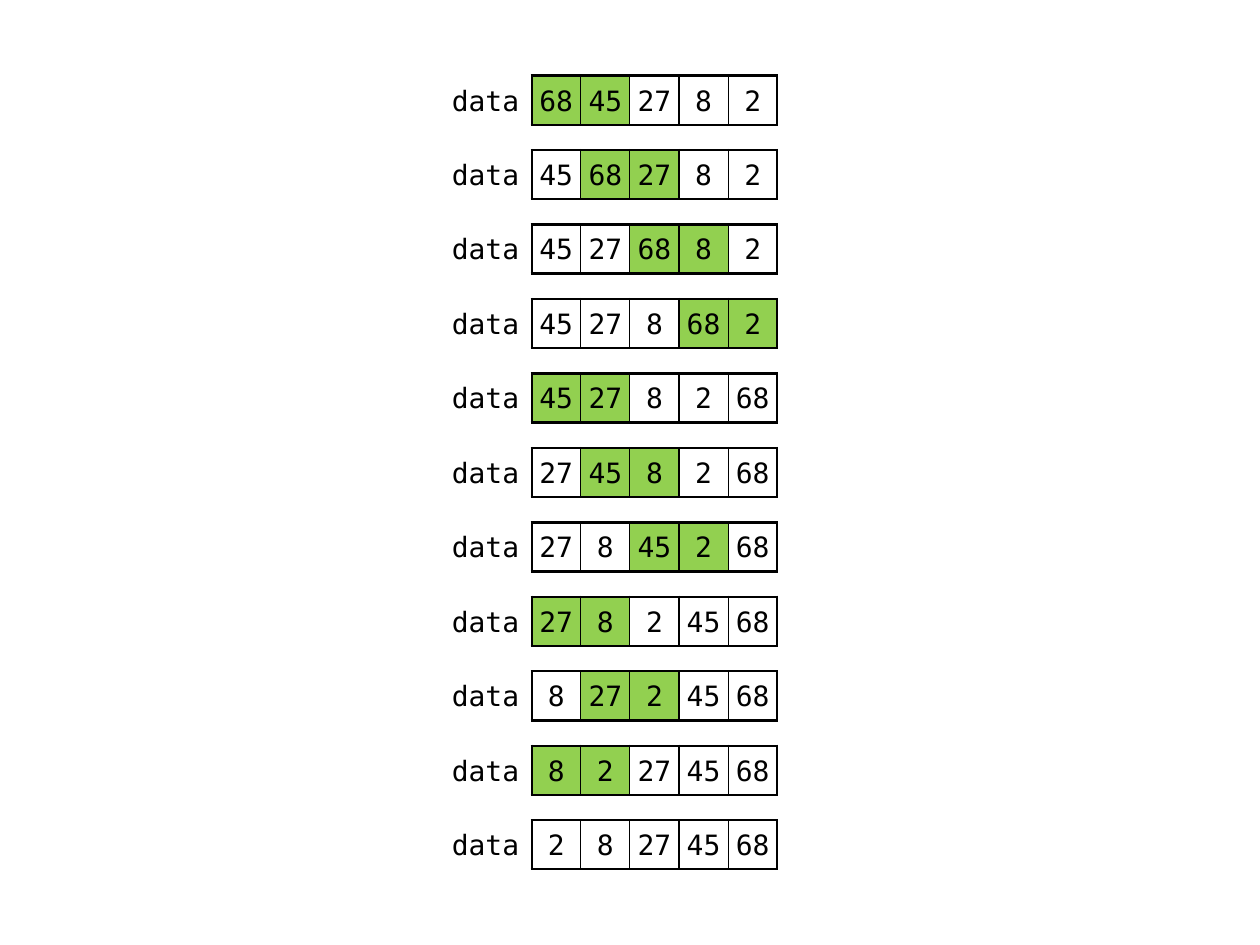
"""Build a slide that shows every step of a bubble sort as a row of cells."""
from typing import Iterator, NamedTuple

from lxml import etree
from pptx import Presentation
from pptx.dml.color import RGBColor
from pptx.enum.text import MSO_ANCHOR, PP_ALIGN
from pptx.oxml.ns import qn
from pptx.slide import Slide
from pptx.table import _Cell
from pptx.util import Inches, Pt

MIDDLE = MSO_ANCHOR.MIDDLE
CENTER, RIGHT = PP_ALIGN.CENTER, PP_ALIGN.RIGHT

FONT, FONT_SIZE = "DejaVu Sans Mono", 16
BLACK, WHITE, GREEN = "000000", "FFFFFF", "92D050"
START_VALUES = [68, 45, 27, 8, 2]
TABLE_LEFT, FIRST_TOP, LAST_TOP = 3.43, 0.6, 6.51
LABEL_WIDTH, CELL_SIZE = 0.79, 0.39
THICK, THIN, NO_LINE = 1.5, 0.75, 0


class Step(NamedTuple):
    """Hold the values at one step and the positions being compared."""
    values: list[int]
    compared: tuple[int, ...]


class Borders(NamedTuple):
    """Hold border widths in points."""
    left: float
    right: float
    top: float
    bottom: float


def sort_steps(start: list[int]) -> Iterator[Step]:
    """Yield each comparison of a bubble sort, then the sorted values."""
    values = list(start)
    for last in range(len(values) - 1, 0, -1):
        for index in range(last):
            yield Step(list(values), (index, index + 1))
            if values[index] > values[index + 1]:
                values[index:index + 2] = values[index + 1], values[index]
    yield Step(values, ())


def color(value: str) -> RGBColor:
    """Return the colour for a hex string."""
    return RGBColor.from_string(value)


def set_borders(cell: _Cell, borders: Borders) -> None:
    """Draw the four borders of a cell."""
    properties = cell._tc.get_or_add_tcPr()
    for tag, width in zip(("a:lnL", "a:lnR", "a:lnT", "a:lnB"), borders):
        line = etree.SubElement(properties, qn(tag), w=str(Pt(width)))
        if width:
            fill = etree.SubElement(line, qn("a:solidFill"))
            etree.SubElement(fill, qn("a:srgbClr"), val=BLACK)
        else:
            etree.SubElement(line, qn("a:noFill"))


def format_cell(cell: _Cell, text: str, align: PP_ALIGN, margin: float, borders: Borders) -> None:
    """Write the text of a cell and set its format and borders."""
    cell_format = {
        "vertical_anchor": MIDDLE,
        "margin_left": Inches(margin),
        "margin_right": Inches(margin),
        "margin_top": Inches(0.02),
        "margin_bottom": Inches(0),
    }
    for name, value in cell_format.items():
        setattr(cell, name, value)
    para = cell.text_frame.paragraphs[0]
    para.alignment = align
    span = para.add_run()
    span.text = text
    for name, value in {"name": FONT, "size": Pt(FONT_SIZE), "bold": False}.items():
        setattr(span.font, name, value)
    span.font.color.rgb = color(BLACK)
    set_borders(cell, borders)


def add_step(page: Slide, step: Step, top: float) -> None:
    """Add the table for one step of the sort."""
    count = len(step.values)
    frame = page.shapes.add_table(
        1, count + 1, Inches(TABLE_LEFT), Inches(top),
        Inches(LABEL_WIDTH + count * CELL_SIZE), Inches(CELL_SIZE))
    table = frame.table
    table.first_row = table.horz_banding = False
    for column in table.columns:
        column.width = Inches(CELL_SIZE)
    table.columns[0].width = Inches(LABEL_WIDTH)

    label = table.cell(0, 0)
    format_cell(label, "data", RIGHT, 0.1, Borders(NO_LINE, THICK, NO_LINE, NO_LINE))
    label.fill.background()
    for index, value in enumerate(step.values):
        cell = table.cell(0, index + 1)
        left = THICK if index == 0 else THIN
        right = THICK if index == count - 1 else THIN
        format_cell(cell, str(value), CENTER, 0.04, Borders(left, right, THICK, THICK))
        cell.fill.solid()
        cell.fill.fore_color.rgb = color(GREEN if index in step.compared else WHITE)


def main() -> None:
    """Build and save the deck."""
    deck = Presentation()
    deck.slide_width, deck.slide_height = Inches(10), Inches(7.5)
    page = deck.slides.add_slide(deck.slide_layouts[6])
    steps = list(sort_steps(START_VALUES))
    pitch = (LAST_TOP - FIRST_TOP) / (len(steps) - 1)
    for number, step in enumerate(steps):
        add_step(page, step, FIRST_TOP + number * pitch)
    deck.save("out.pptx")


main()
